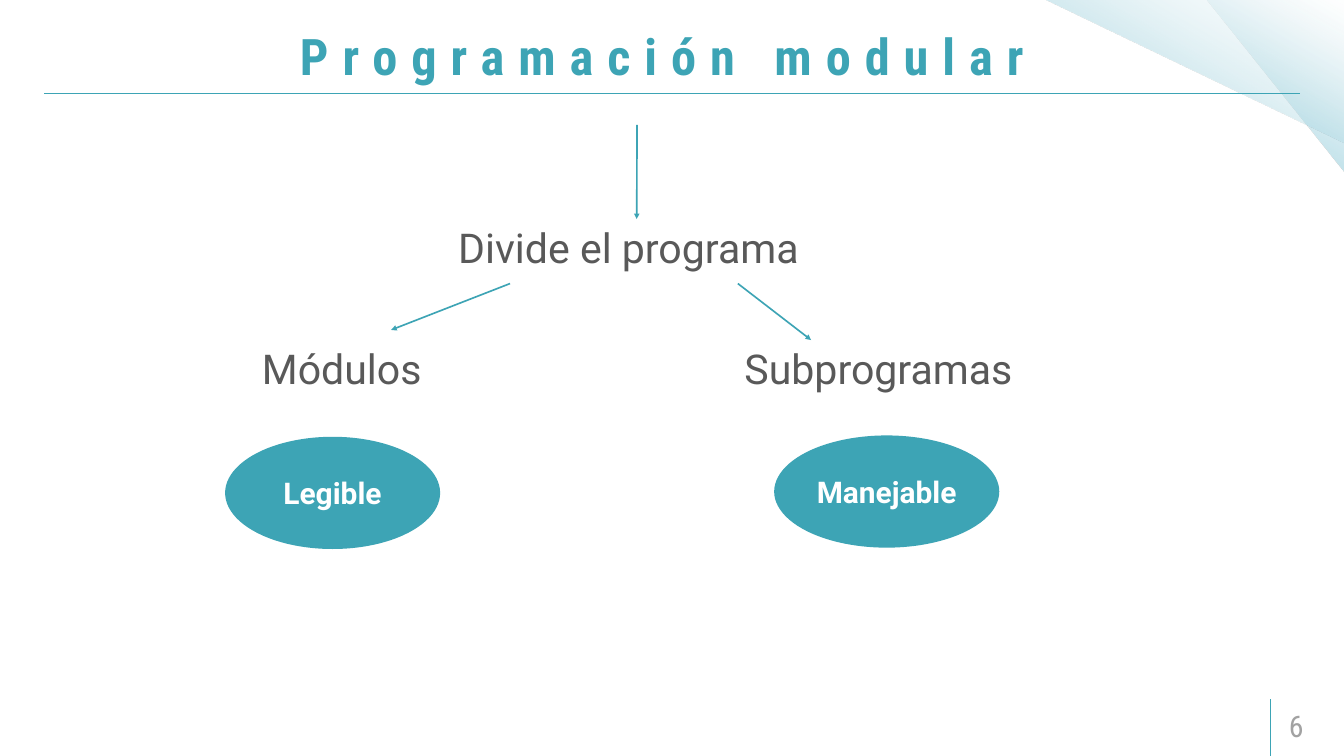
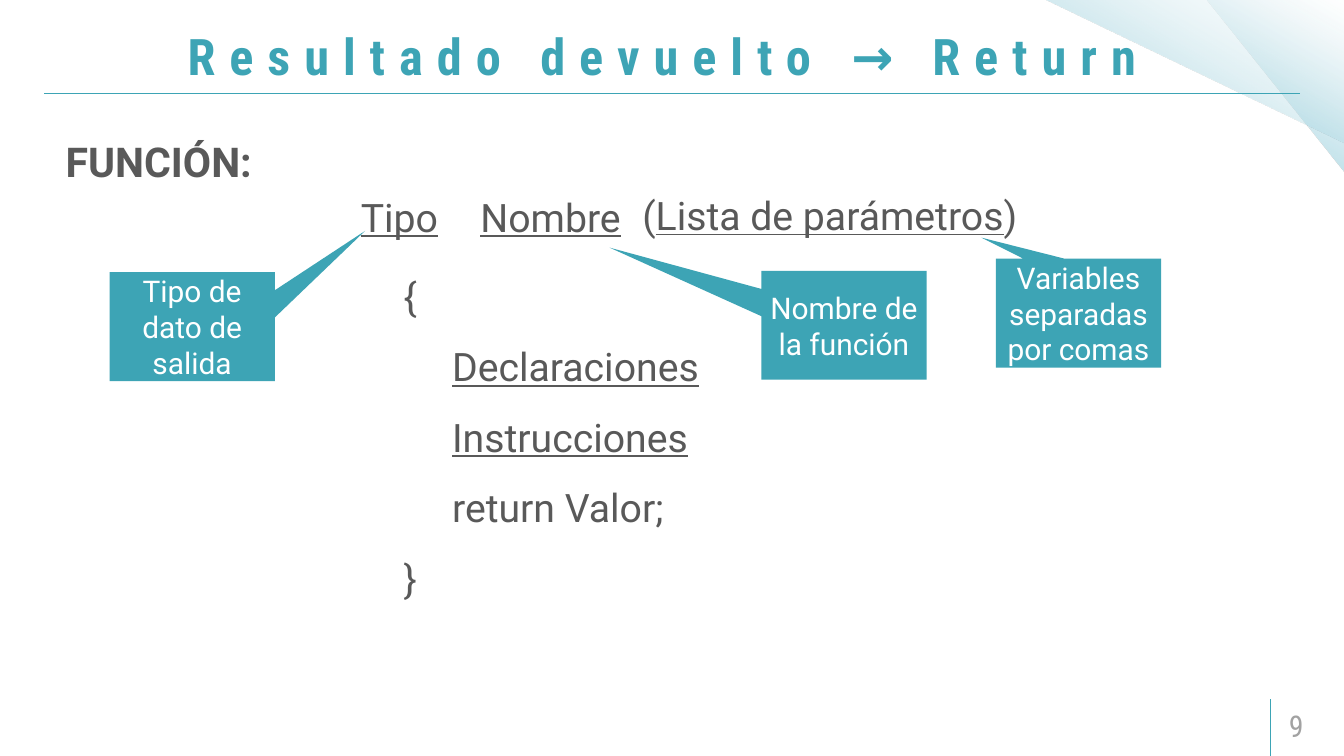
from dataclasses import dataclass

from lxml import etree
from pptx import Presentation
from pptx.dml.color import RGBColor
from pptx.enum.shapes import MSO_CONNECTOR, MSO_SHAPE
from pptx.enum.text import MSO_ANCHOR, MSO_AUTO_SIZE, PP_ALIGN
from pptx.oxml import parse_xml
from pptx.oxml.ns import nsdecls, qn
from pptx.util import Inches, Pt


@dataclass(frozen=True)
class Theme:
    teal: str = "3DA4B5"
    text: str = "595959"
    number: str = "A2A2A2"
    white: str = "FFFFFF"
    # position %, colour, opacity %
    corner_stops: tuple = ((0, "97D1E0", 100), (50, "AAD7E2", 44), (100, "E0F0F4", 0))
    corner_angle: int = 120
    body_font: str = "Roboto"
    title_font: str = "Roboto Condensed"
    title_size: int = 54
    title_spacing: int = 15
    heading_size: int = 44
    code_size: int = 42
    label_size: int = 32
    rule_width: float = 1
    arrow_width: float = 1.75


THEME = Theme()
SLIDE_SIZE = (20, 11.25)

# Boxes are left, top, width, height in inches
CORNERS = [(17.96, 0, 2.04, 2.57), (15.54, 0, 4.48, 2.13)]
RULES = [((0.66, 1.39), (19.34, 1.39)), ((18.91, 11.25), (18.91, 10.4))]
TITLE_BOX = (0.7, 0.21, 18.31, 1.23)
NUMBER_BOX = (19, 10.49, 0.99, 0.6)
WIDE_INSETS = (0.18, 0.09)

MODULAR = {"title": "Programación modular", "number": "6"}
DIVIDE = ("Divide el programa", 6.72, 3.26)
PARTS = [("Módulos", 3.8, 5.06), ("Subprogramas", 10.98, 5.06)]
PART_SIZE = (5.51, 0.84)
DIVIDE_ARROW = ((9.48, 1.86), (9.48, 3.26))
PART_ARROWS = [((7.59, 4.22), (5.82, 4.91)), ((10.98, 4.22), (12.07, 5.06))]
QUALITIES = [("Legible", (3.35, 6.5, 3.2, 1.67)), ("Manejable", (11.52, 6.48, 3.35, 1.67))]

RETURN = {"title": "Resultado devuelto → Return", "number": "9"}
FUNCTION_HEADING = ("FUNCIÓN:", (0.3, 1.98, 4.13, 0.84))
# Runs are (text, underlined)
SIGNATURE = [
    ([("Tipo", True)], (5.27, 2.82, 2.61, 0.81)),
    ([("Nombre", True)], (7.05, 2.82, 2.61, 0.81)),
    ([("(", False), ("Lista de parámetros", True), (")", False)], (9.46, 2.8, 6.2, 0.81)),
]
BODY_BOX = (5.91, 3.65, 5.96, 5.4)
BODY_INDENT = 0.72
# Lines are (text, underlined, indented)
BODY = [
    ("{", False, False),
    ("Declaraciones", True, True),
    ("Instrucciones", True, True),
    ("return Valor;", False, True),
    ("}", False, False),
]
CALLOUT_SIZE = (2.46, 1.62)
# Text, position, pointer tip as a share of the size from the centre
CALLOUTS = [
    ("Tipo de dato de salida", (1.63, 4.05), (1.046, -0.879)),
    ("Nombre de la función", (11.33, 4.03), (-1.418, -0.713)),
    ("Variables separadas por comas", (14.82, 3.85), (-0.586, -0.693)),
]


def inches(values):
    return [Inches(value) for value in values]


def color(code):
    return RGBColor.from_string(code)


def format_text(text_frame, size, code, font=THEME.body_font, bold=False, align=PP_ALIGN.LEFT):
    for paragraph in text_frame.paragraphs:
        paragraph.alignment = align
        for run in paragraph.runs:
            run.font.name = font
            run.font.size = Pt(size)
            run.font.bold = bold
            run.font.color.rgb = color(code)


def add_text(slide, box, text=""):
    text_frame = slide.shapes.add_textbox(*inches(box)).text_frame
    text_frame.word_wrap = True
    text_frame.text = text
    return text_frame


def add_runs(paragraph, runs):
    for text, underlined in runs:
        run = paragraph.add_run()
        run.text = text
        run.font.underline = underlined


def add_framed_text(slide, box, text):
    """Add a vertically centred text with the wide insets of title and number."""
    text_frame = add_text(slide, box, text)
    text_frame.vertical_anchor = MSO_ANCHOR.MIDDLE
    side, edge = inches(WIDE_INSETS)
    text_frame.margin_left = text_frame.margin_right = side
    text_frame.margin_top = text_frame.margin_bottom = edge
    return text_frame


def add_line(slide, start, end, width, arrow=False):
    line = slide.shapes.add_connector(MSO_CONNECTOR.STRAIGHT, *inches(start + end))
    line.line.color.rgb = color(THEME.teal)
    line.line.width = Pt(width)
    if arrow:
        etree.SubElement(line.line._get_or_add_ln(), qn("a:tailEnd"), type="triangle")
    etree.SubElement(line._element.spPr, qn("a:effectLst"))
    return line


def add_plain_shape(slide, kind, box):
    shape = slide.shapes.add_shape(kind, *inches(box))
    shape.shadow.inherit = False
    shape.line.fill.background()
    return shape


def add_label_shape(slide, kind, box, text, bold=False):
    shape = add_plain_shape(slide, kind, box)
    shape.fill.solid()
    shape.fill.fore_color.rgb = color(THEME.teal)
    shape.text_frame.text = text
    shape.text_frame.word_wrap = True
    shape.text_frame.vertical_anchor = MSO_ANCHOR.MIDDLE
    format_text(shape.text_frame, THEME.label_size, THEME.white, bold=bold, align=PP_ALIGN.CENTER)
    return shape


def add_corner(slide, box):
    corner = add_plain_shape(slide, MSO_SHAPE.RIGHT_TRIANGLE, box)
    corner.rotation = 180
    stops = "".join(
        f'<a:gs pos="{position * 1000}"><a:srgbClr val="{code}">'
        f'<a:alpha val="{opacity * 1000}"/></a:srgbClr></a:gs>'
        for position, code, opacity in THEME.corner_stops
    )
    gradient = parse_xml(
        f'<a:gradFill {nsdecls("a")} rotWithShape="1"><a:gsLst>{stops}</a:gsLst>'
        f'<a:lin ang="{THEME.corner_angle * 60000}" scaled="0"/></a:gradFill>'
    )
    corner._element.spPr.find(qn("a:prstGeom")).addnext(gradient)


def add_base_slide(presentation, title, number):
    """Add a slide with the corner, rules, page number and title that all slides share."""
    slide = presentation.slides.add_slide(presentation.slide_layouts[6])
    for box in CORNERS:
        add_corner(slide, box)
    for start, end in RULES:
        add_line(slide, start, end, THEME.rule_width)
    number_frame = add_framed_text(slide, NUMBER_BOX, number)
    format_text(number_frame, THEME.label_size, THEME.number, THEME.title_font)
    title_frame = add_framed_text(slide, TITLE_BOX, title)
    format_text(title_frame, THEME.title_size, THEME.teal, THEME.title_font, True, PP_ALIGN.CENTER)
    for run in title_frame.paragraphs[0].runs:
        run._r.get_or_add_rPr().set("spc", str(THEME.title_spacing * 100))
    return slide


def add_part(slide, text, left, top):
    text_frame = add_text(slide, (left, top) + PART_SIZE, text)
    text_frame.auto_size = MSO_AUTO_SIZE.SHAPE_TO_FIT_TEXT
    format_text(text_frame, THEME.heading_size, THEME.text)
    return slide.shapes[-1]


def build_modular_slide(presentation):
    slide = add_base_slide(presentation, **MODULAR)
    divide = add_part(slide, *DIVIDE)
    for part in PARTS:
        add_part(slide, *part)
    add_line(slide, *DIVIDE_ARROW, THEME.arrow_width, arrow=True).end_connect(divide, 0)
    for start, end in PART_ARROWS:
        add_line(slide, start, end, THEME.arrow_width, arrow=True)
    for text, box in QUALITIES:
        add_label_shape(slide, MSO_SHAPE.OVAL, box, text, bold=True)


def add_function_body(slide):
    text_frame = add_text(slide, BODY_BOX)
    for index, (text, underlined, indented) in enumerate(BODY):
        paragraph = text_frame.add_paragraph() if index else text_frame.paragraphs[0]
        paragraph.line_spacing = 1.5
        add_runs(paragraph, [(text, underlined)])
        if indented:
            paragraph._p.get_or_add_pPr().set("marL", str(Inches(BODY_INDENT)))
    format_text(text_frame, THEME.code_size, THEME.text)


def build_return_slide(presentation):
    slide = add_base_slide(presentation, **RETURN)
    heading, heading_box = FUNCTION_HEADING
    heading_frame = add_text(slide, heading_box, heading)
    format_text(heading_frame, THEME.heading_size, THEME.text, bold=True, align=PP_ALIGN.CENTER)
    for runs, box in SIGNATURE:
        text_frame = add_text(slide, box)
        add_runs(text_frame.paragraphs[0], runs)
        format_text(text_frame, THEME.code_size, THEME.text)
    add_function_body(slide)
    for text, position, tip in CALLOUTS:
        box = position + CALLOUT_SIZE
        callout = add_label_shape(slide, MSO_SHAPE.RECTANGULAR_CALLOUT, box, text)
        callout.adjustments[0], callout.adjustments[1] = tip


def main():
    presentation = Presentation()
    presentation.slide_width, presentation.slide_height = inches(SLIDE_SIZE)
    build_modular_slide(presentation)
    build_return_slide(presentation)
    presentation.save("out.pptx")


if __name__ == "__main__":
    main()
